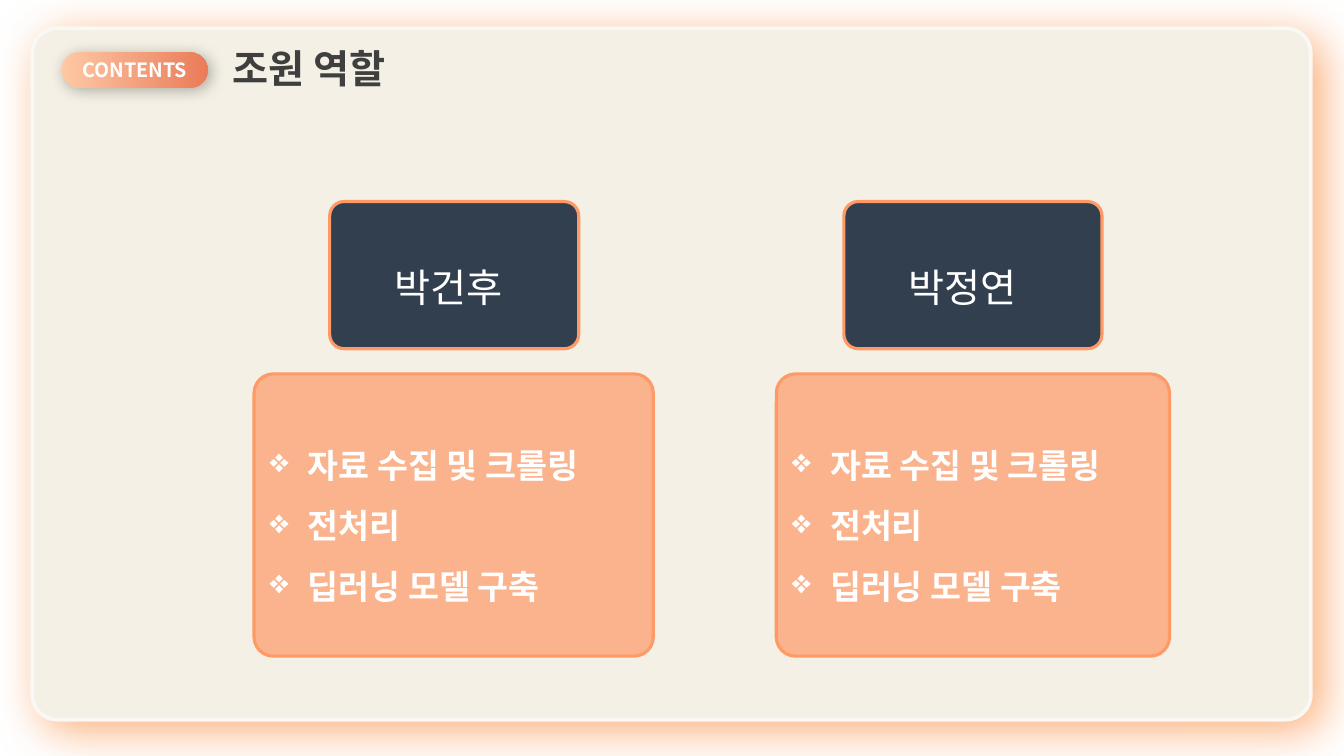
from lxml.etree import SubElement
from pptx import Presentation
from pptx.dml.color import RGBColor
from pptx.enum.shapes import MSO_SHAPE
from pptx.enum.text import MSO_ANCHOR, PP_ALIGN
from pptx.oxml.ns import qn
from pptx.util import Inches, Pt

KOREAN_FONT = "Noto Sans CJK KR"
WHITE, ORANGE, NAVY = "FFFFFF", "FF9966", "323F4F"
TITLE = "조원 역할"
BADGE = "CONTENTS"
TASKS = ["자료 수집 및 크롤링", "전처리", "딥러닝 모델 구축"]
MEMBERS = [
    {"name": "박건후", "name_left": 3.27, "name_width": 2.47, "task_left": 2.52, "task_width": 3.96},
    {"name": "박정연", "name_left": 8.37, "name_width": 2.56, "task_left": 7.7, "task_width": 3.9},
]
NAME_TOP, NAME_HEIGHT = 2, 1.46
TASK_TOP, TASK_HEIGHT = 3.71, 2.8


def color(value):
    """Turn a hex string into a colour."""
    return RGBColor.from_string(value)


def add_box(slide, left, top, width, height, radius, fill=None, line=None, line_width=2.25, alpha=None):
    """Add a rounded rectangle without a shadow."""
    shape = slide.shapes.add_shape(
        MSO_SHAPE.ROUNDED_RECTANGLE, Inches(left), Inches(top), Inches(width), Inches(height))
    shape.adjustments[0] = radius
    shape.shadow.inherit = False
    if fill:
        shape.fill.solid()
        shape.fill.fore_color.rgb = color(fill)
    if alpha:
        fill_color = shape._element.spPr.find(qn("a:solidFill")).find(qn("a:srgbClr"))
        SubElement(fill_color, qn("a:alpha"), val=str(alpha * 1000))
    if line:
        shape.line.color.rgb = color(line)
        shape.line.width = Pt(line_width)
    else:
        shape.line.fill.background()
    return shape


def add_shadow(shape, hex_color, alpha, blur, distance):
    """Cast a soft shadow down to the right."""
    effects = shape._element.spPr.find(qn("a:effectLst"))
    shadow = SubElement(effects, qn("a:outerShdw"), blurRad=str(Pt(blur)), dist=str(Pt(distance)),
                        dir=str(45 * 60000), algn="tl", rotWithShape="0")
    shadow_color = SubElement(shadow, qn("a:srgbClr"), val=hex_color)
    SubElement(shadow_color, qn("a:alpha"), val=str(alpha * 1000))


def write(shape, lines, size, hex_color=WHITE, bold=False, font=KOREAN_FONT, align=PP_ALIGN.LEFT,
          anchor=MSO_ANCHOR.MIDDLE, spacing=None, level=0, margin=0, bullet=None):
    """Fill a shape with formatted paragraphs."""
    frame = shape.text_frame
    frame.word_wrap = True
    frame.vertical_anchor = anchor
    for index, text in enumerate(lines):
        paragraph = frame.add_paragraph() if index else frame.paragraphs[0]
        paragraph.alignment = align
        paragraph.level = level
        properties = paragraph._p.get_or_add_pPr()
        properties.set("marL", str(Inches(margin)))
        properties.set("indent", str(Inches(-margin if bullet else 0)))
        if bullet:
            SubElement(SubElement(properties, qn("a:buClr")), qn("a:srgbClr"), val=hex_color)
            SubElement(properties, qn("a:buChar"), char=bullet)
        if spacing:
            paragraph.line_spacing = spacing
        run = paragraph.add_run()
        run.text = text
        run.font.size = Pt(size)
        run.font.bold = bold
        run.font.color.rgb = color(hex_color)
        run.font.name = font
        SubElement(run._r.get_or_add_rPr(), qn("a:ea"), typeface=KOREAN_FONT)


def add_header(slide):
    """Add the badge and the title."""
    badge = add_box(slide, 0.61, 0.52, 1.45, 0.35, 0.5)
    badge.fill.gradient()
    badge.fill.gradient_angle = 0
    for stop, (position, value) in zip(badge.fill.gradient_stops, [(0, "FEC8A4"), (1, "EA7C59")]):
        stop.position = position
        stop.color.rgb = color(value)
    add_shadow(badge, "000000", 29, 11, 3)
    write(badge, [BADGE], 14, bold=True, align=PP_ALIGN.CENTER)
    title = slide.shapes.add_textbox(Inches(2.21), Inches(0.39), Inches(7.12), Inches(0.57))
    write(title, [TITLE], 28, "3F3F3F", bold=True, font="Arial", anchor=MSO_ANCHOR.TOP)


def add_member(slide, member):
    """Add one member's task card and name card."""
    tasks = add_box(slide, member["task_left"], TASK_TOP, member["task_width"], TASK_HEIGHT,
                    0.068, ORANGE, ORANGE, alpha=69)
    write(tasks, TASKS, 24, bold=True, spacing=1.5, margin=0.38, bullet="❖")
    name = add_box(slide, member["name_left"], NAME_TOP, member["name_width"], NAME_HEIGHT,
                   0.097, NAVY, ORANGE)
    write(name, [member["name"]], 28, spacing=1.5, level=1, margin=0.5)


def main():
    """Build and save the slide."""
    presentation = Presentation()
    presentation.slide_width = Inches(13.33)
    presentation.slide_height = Inches(7.5)
    slide = presentation.slides.add_slide(presentation.slide_layouts[6])
    panel = add_box(slide, 0.32, 0.28, 12.68, 6.86, 0.036, "F4F0E5", "FAF8F4", 2.75)
    add_shadow(panel, "FDB07A", 100, 33, 10)
    add_header(slide)
    for member in MEMBERS:
        add_member(slide, member)
    presentation.save("out.pptx")


if __name__ == "__main__":
    main()
